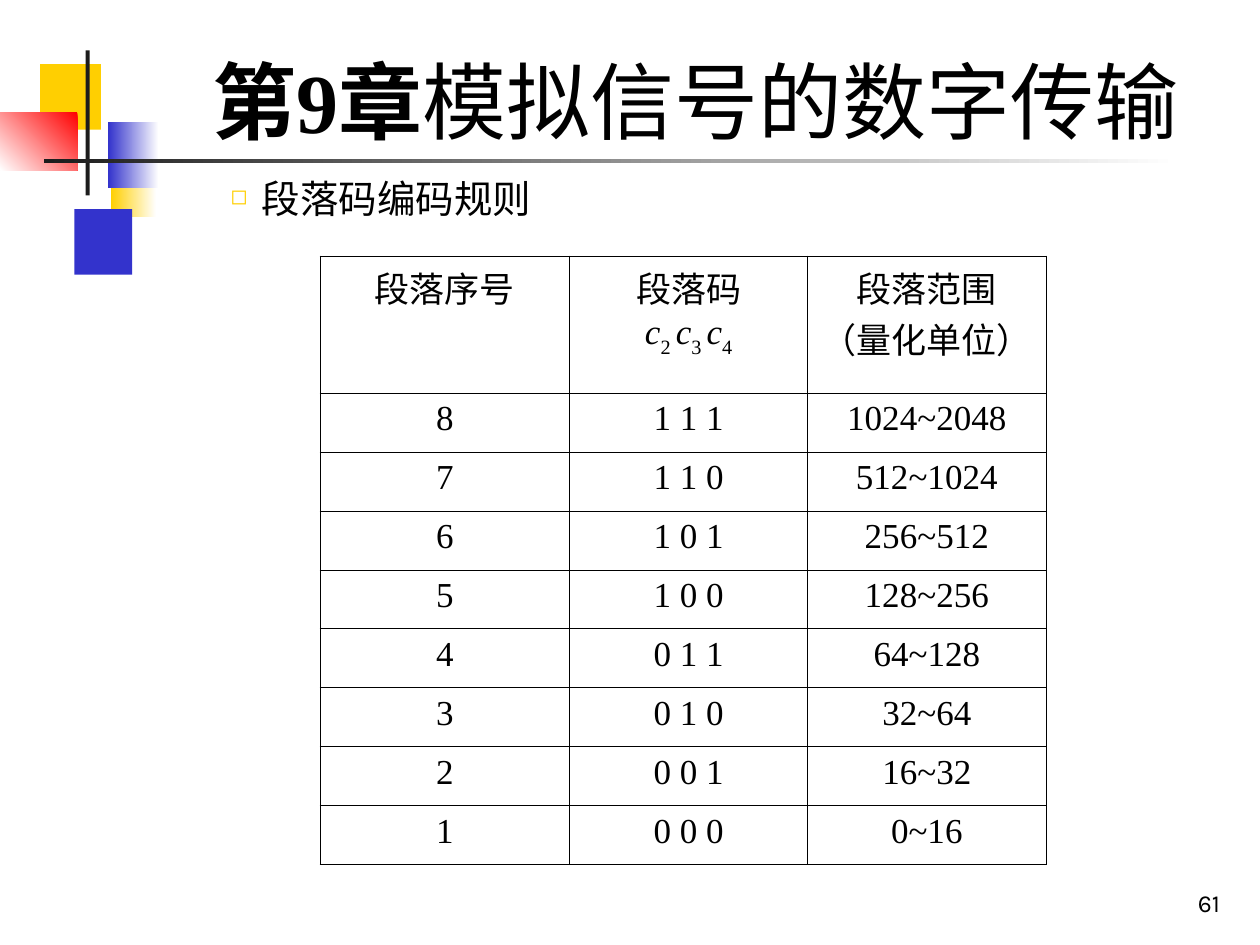
from dataclasses import dataclass, field
from typing import Optional

from lxml.etree import SubElement
from pptx import Presentation
from pptx.dml.color import RGBColor
from pptx.enum.shapes import MSO_SHAPE
from pptx.enum.text import MSO_ANCHOR, PP_ALIGN
from pptx.oxml import parse_xml
from pptx.oxml.ns import nsdecls, qn
from pptx.util import Pt

COLORS = {
    "white": "FFFFFF",
    "black": "000000",
    "gold": "FFCF01",
    "blue": "3333CC",
    "red": "FF0000",
    "dark": "1C1C1C",
}
SERIF = "Times New Roman"


@dataclass
class Block:
    left: float
    top: float
    width: float
    height: float
    color: str
    fade: Optional[str] = None
    angle: float = 180


@dataclass
class Piece:
    text: str
    size: float = 20
    face: str = SERIF
    style: dict = field(default_factory=dict)
    base: int = 0


BLOCKS = [
    Block(63.4, 86.4, 25.9, 37.4, "white", "gold"),
    Block(42.5, 119.5, 33.1, 37.4, "blue"),
    Block(23, 36.7, 34.6, 37.4, "gold"),
    Block(61.9, 69.8, 28.8, 37.4, "white", "blue"),
    Block(0, 64.1, 44.3, 33.1, "red", "white", 225),
    Block(49, 28.8, 2.2, 82.8, "dark"),
    Block(25.2, 90.7, 648, 2.2, "white", "dark"),
]
CODE = [
    piece
    for digit in ("2 ", "3 ", "4")
    for piece in (Piece("c", style={"italic": True}), Piece(digit, base=-30000))
]
HEADS = [
    [[Piece("段落序号")]],
    [[Piece("段落码")], CODE],
    [[Piece("段落范围")], [Piece("（量化单位）")]],
]
ROWS = [
    ("8", "1 1 1", "1024~2048"),
    ("7", "1 1 0", "512~1024"),
    ("6", "1 0 1", "256~512"),
    ("5", "1 0 0", "128~256"),
    ("4", "0 1 1", "64~128"),
    ("3", "0 1 0", "32~64"),
    ("2", "0 0 1", "16~32"),
    ("1", "0 0 0", "0~16"),
]


def shade(name: str) -> RGBColor:
    return RGBColor.from_string(COLORS[name])


def draw_block(slide, block: Block) -> None:
    box = (block.left, block.top, block.width, block.height)
    shape = slide.shapes.add_shape(MSO_SHAPE.RECTANGLE, *map(Pt, box))
    shape.shadow.inherit = False
    shape.line.fill.background()
    if block.fade is None:
        shape.fill.solid()
        shape.fill.fore_color.rgb = shade(block.color)
        return
    shape.fill.gradient()
    shape.fill.gradient_angle = block.angle
    for stop, name in zip(shape.fill.gradient_stops, (block.color, block.fade)):
        stop.color.rgb = shade(name)


def write(para, pieces: list[Piece], align: PP_ALIGN) -> None:
    para.alignment = align
    for piece in pieces:
        run = para.add_run()
        run.text = piece.text
        style = {"size": Pt(piece.size), "name": piece.face, **piece.style}
        for key, value in style.items():
            setattr(run.font, key, value)
        run.font.color.rgb = shade("black")
        if piece.base:
            run._r.get_or_add_rPr().set("baseline", str(piece.base))


def add_text(slide, box: tuple, pieces: list[Piece], align: PP_ALIGN,
             anchor: MSO_ANCHOR = MSO_ANCHOR.BOTTOM):
    frame = slide.shapes.add_textbox(*map(Pt, box)).text_frame
    frame.word_wrap = True
    frame.vertical_anchor = anchor
    para = frame.paragraphs[0]
    write(para, pieces, align)
    return para


def add_bullet(para) -> None:
    props = para._p.get_or_add_pPr()
    props.set("marL", str(Pt(126)))
    props.set("indent", str(Pt(-18)))
    color = SubElement(props, qn("a:buClr"))
    SubElement(color, qn("a:srgbClr")).set("val", COLORS["gold"])
    SubElement(props, qn("a:buSzPct")).set("val", "55000")
    SubElement(props, qn("a:buChar")).set("char", "◻")


def add_edges(cell) -> None:
    props = cell._tc.get_or_add_tcPr()
    for place, side in enumerate(("lnL", "lnR", "lnT", "lnB")):
        props.insert(place, parse_xml(
            f'<a:{side} {nsdecls("a")} w="{Pt(0.45)}"><a:solidFill>'
            f'<a:srgbClr val="{COLORS["black"]}"/></a:solidFill></a:{side}>'
        ))


def fill_cell(cell, lines: list[list[Piece]]) -> None:
    frame = cell.text_frame
    for place, pieces in enumerate(lines):
        para = frame.add_paragraph() if place else frame.paragraphs[0]
        write(para, pieces, PP_ALIGN.CENTER)
    cell.fill.background()
    add_edges(cell)


def add_grid(slide) -> None:
    cells = [HEADS] + [[[[Piece(text)]] for text in row] for row in ROWS]
    widths = (142.6, 136.1, 136.1)
    heights = [78.5] + [33.65] * len(ROWS)
    box = (182.9, 146.2, sum(widths), sum(heights))
    table = slide.shapes.add_table(
        len(heights), len(widths), *map(Pt, box)
    ).table
    for key in ("first_row", "horz_banding"):
        setattr(table, key, False)
    for col, width in zip(table.columns, widths):
        col.width = Pt(width)
    for row, height, line in zip(table.rows, heights, cells):
        row.height = Pt(height)
        for cell, lines in zip(row.cells, line):
            fill_cell(cell, lines)


def main() -> None:
    deck = Presentation()
    deck.slide_width, deck.slide_height = Pt(720), Pt(540)
    slide = deck.slides.add_slide(deck.slide_layouts[6])
    for block in BLOCKS:
        draw_block(slide, block)
    title = [
        Piece("第9章", 48, style={"bold": True}),
        Piece("模拟信号的数字传输", 48, style={"bold": False}),
    ]
    add_text(slide, (90.7, 16.6, 613.4, 72.7), title, PP_ALIGN.CENTER)
    topic = add_text(slide, (16.6, 96.5, 703.4, 443.5),
                     [Piece("段落码编码规则", 22)], PP_ALIGN.LEFT,
                     MSO_ANCHOR.TOP)
    add_bullet(topic)
    add_grid(slide)
    add_text(slide, (554.4, 491.8, 149.8, 36), [Piece("61", 14, "Karla")],
             PP_ALIGN.RIGHT)
    deck.save("out.pptx")


if __name__ == "__main__":
    main()
